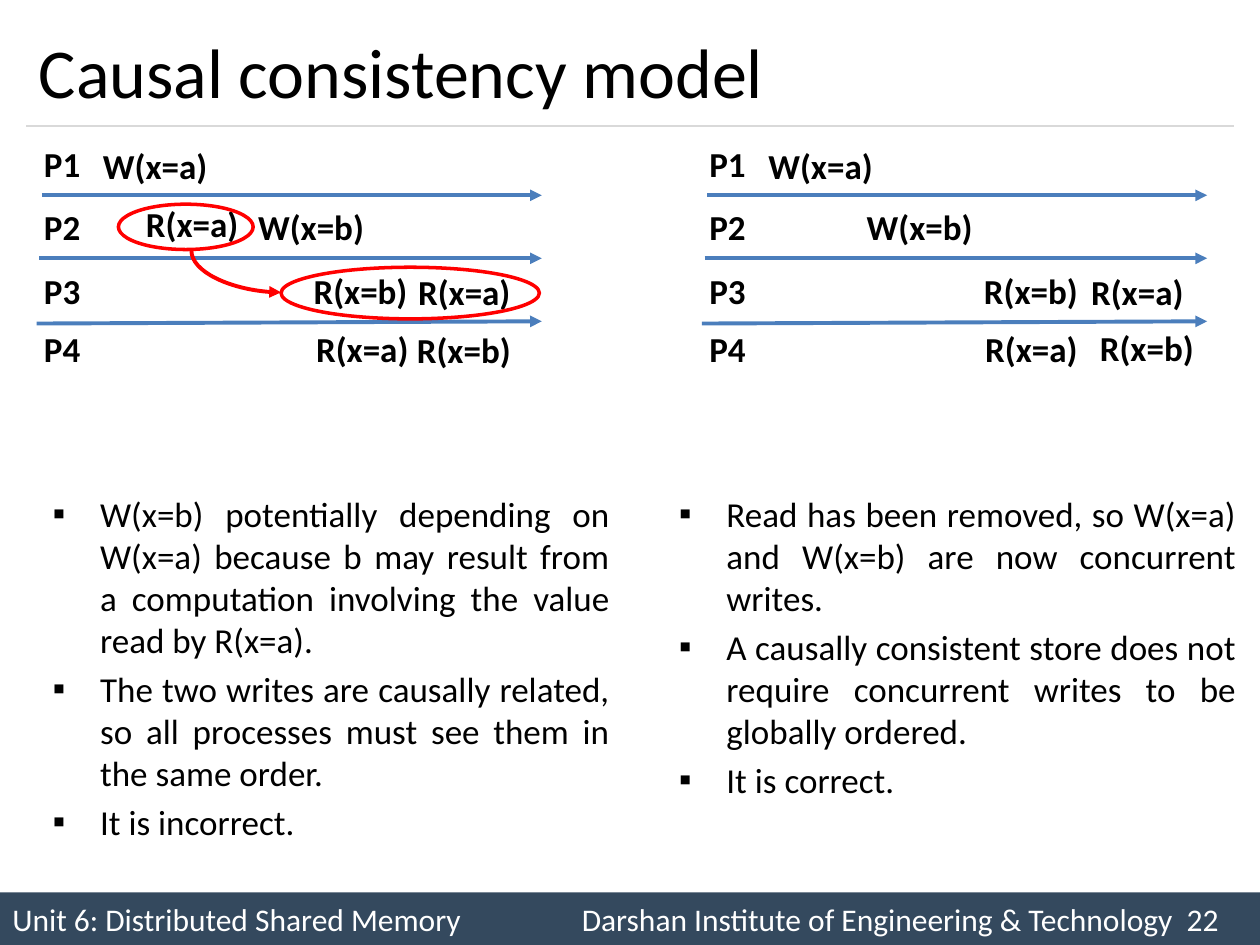
from lxml import etree
from pptx import Presentation
from pptx.dml.color import RGBColor
from pptx.enum.shapes import MSO_CONNECTOR, MSO_SHAPE
from pptx.enum.text import MSO_ANCHOR, MSO_AUTO_SIZE, PP_ALIGN
from pptx.oxml.ns import qn
from pptx.util import Pt

STRAIGHT, CURVE = MSO_CONNECTOR.STRAIGHT, MSO_CONNECTOR.CURVE
RECTANGLE, OVAL = MSO_SHAPE.RECTANGLE, MSO_SHAPE.OVAL
MIDDLE = MSO_ANCHOR.MIDDLE
NO_AUTOFIT = MSO_AUTO_SIZE.NONE
LEFT, JUSTIFY = PP_ALIGN.LEFT, PP_ALIGN.JUSTIFY

BLACK = RGBColor(0x00, 0x00, 0x00)
WHITE = RGBColor(0xFF, 0xFF, 0xFF)
NAVY = RGBColor(0x34, 0x49, 0x5E)
GREY = RGBColor(0xD9, 0xD9, 0xD9)
BLUE = RGBColor(0x4B, 0x7E, 0xBC)
RED = RGBColor(0xFF, 0x00, 0x00)
FONT = "Calibri"

SLIDE_WIDTH, SLIDE_HEIGHT = 720, 540
TWO_CONTENT_LAYOUT = 3
LABEL_HEIGHT = 31.7
LABEL_WIDTHS = {"P": 35.3, "W": 75.3, "R": 68.4}
PROCESS_TOPS = [0, 36, 72.7, 105.8]
# Each time line: start x, start y, end y
TIME_LINES = [(6, 33.8, 33.8), (4.5, 69.8, 69.8), (2.9, 107.1, 105.8)]
TIME_LINE_END = 291.6

# Each event: text, x, y within its diagram
RELATED_EVENTS = [
    ("W(x=a)", 33.8, 1.4), ("R(x=a)", 58.3, 34.6), ("W(x=b)", 122.4, 36),
    ("R(x=b)", 154.1, 72.7), ("R(x=a)", 213.8, 73.4),
    ("R(x=a)", 155.5, 105.8), ("R(x=b)", 213.1, 106.6),
]
CONCURRENT_EVENTS = [
    ("W(x=a)", 33.8, 1.4), ("W(x=b)", 90, 36),
    ("R(x=b)", 157, 72.7), ("R(x=a)", 218.2, 73.4),
    ("R(x=a)", 157.7, 105.8), ("R(x=b)", 223.2, 105.1),
]
RELATED_NOTES = [
    "W(x=b) potentially depending on W(x=a) because b may result from a "
    "computation involving the value read by R(x=a).",
    "The two writes are causally related, so all processes must see them in "
    "the same order.",
    "It is incorrect.",
]
CONCURRENT_NOTES = [
    "Read has been removed, so W(x=a) and W(x=b) are now concurrent writes.",
    "A causally consistent store does not require concurrent writes to be "
    "globally ordered.",
    "It is correct.",
]


def place(shape, left, top, width, height):
    shape.left, shape.top = Pt(left), Pt(top)
    shape.width, shape.height = Pt(width), Pt(height)


def write(paragraph, text, size=20, color=BLACK, bold=False, align=LEFT):
    paragraph.text = text
    paragraph.alignment = align
    font = paragraph.font
    font.name, font.size, font.bold = FONT, Pt(size), bold
    font.color.rgb = color


def add_line(slide, start, end, color, weight, kind=STRAIGHT, arrow=False):
    line = slide.shapes.add_connector(kind, *map(Pt, start + end))
    line.line.color.rgb = color
    line.line.width = Pt(weight)
    properties = line.element.spPr
    if arrow:
        outline = properties.find(qn("a:ln"))
        etree.SubElement(outline, qn("a:tailEnd"), type="triangle")
    etree.SubElement(properties, qn("a:effectLst"))
    return line


def add_label(slide, text, left, top):
    label = slide.shapes.add_textbox(
        Pt(left), Pt(top), Pt(LABEL_WIDTHS[text[0]]), Pt(LABEL_HEIGHT))
    label.text_frame.word_wrap = False
    write(label.text_frame.paragraphs[0], text, bold=True)


def add_title(slide, left, top, width, height):
    title = slide.shapes.title
    place(title, left, top, width, height)
    title.text_frame.vertical_anchor = MIDDLE
    title.text_frame.auto_size = NO_AUTOFIT
    write(title.text_frame.paragraphs[0], "Causal consistency model",
          size=40, align=JUSTIFY)
    bottom = top + height
    add_line(slide, (left, bottom), (left + width, bottom), GREY, 0.75)


def add_process_diagram(slide, left, top, events):
    for number, row_top in enumerate(PROCESS_TOPS, start=1):
        add_label(slide, f"P{number}", left, top + row_top)
    for start_x, start_y, end_y in TIME_LINES:
        add_line(slide, (left + start_x, top + start_y),
                 (left + TIME_LINE_END, top + end_y), BLUE, 2.25, arrow=True)
    for text, x, y in events:
        add_label(slide, text, left + x, top + y)


def add_causal_link(slide, left, top):
    """Ring the causing read and the wrongly ordered reads, and join them."""
    for x, y, width, height in [(49.7, 38.9, 77, 25.9),
                                (142.6, 74.9, 147.6, 29.5)]:
        ring = slide.shapes.add_shape(
            OVAL, Pt(left + x), Pt(top + y), Pt(width), Pt(height))
        ring.shadow.inherit = False
        ring.fill.background()
        ring.line.color.rgb = RED
        ring.line.width = Pt(2)

    # A quarter curve leaves sideways; turning it makes it leave downwards.
    start_x, start_y, end_x, end_y = 91.4, 65.5, 142.6, 89.3
    center_x = left + (start_x + end_x) / 2
    center_y = top + (start_y + end_y) / 2
    half_width, half_height = (end_y - start_y) / 2, (end_x - start_x) / 2
    link = add_line(slide, (center_x + half_width, center_y - half_height),
                    (center_x - half_width, center_y + half_height),
                    RED, 2.25, kind=CURVE, arrow=True)
    properties = link.element.spPr
    properties.find(qn("a:prstGeom")).set("prst", "curvedConnector2")
    properties.find(qn("a:xfrm")).set("rot", str(270 * 60000))


def fill_notes(placeholder, left, top, width, height, notes):
    place(placeholder, left, top, width, height)
    frame = placeholder.text_frame
    frame.auto_size = NO_AUTOFIT
    for index, note in enumerate(notes):
        paragraph = frame.add_paragraph() if index else frame.paragraphs[0]
        properties = paragraph._p.get_or_add_pPr()
        properties.set("marL", str(Pt(27)))
        properties.set("indent", str(Pt(-27)))
        etree.SubElement(properties, qn("a:buFont"), typeface=FONT)
        etree.SubElement(properties, qn("a:buChar"), char="▪")
        paragraph.space_before = Pt(4 if index else 0)
        write(paragraph, note, align=JUSTIFY)


def add_footer(slide, left, top, width, height):
    footer = slide.shapes.add_shape(
        RECTANGLE, Pt(left), Pt(top), Pt(width), Pt(height))
    footer.shadow.inherit = False
    footer.fill.solid()
    footer.fill.fore_color.rgb = NAVY
    footer.line.fill.background()
    footer.text_frame.vertical_anchor = MIDDLE
    paragraph = footer.text_frame.paragraphs[0]
    tabs = etree.SubElement(paragraph._p.get_or_add_pPr(), qn("a:tabLst"))
    for position in (325.4, 671):
        etree.SubElement(tabs, qn("a:tab"), pos=str(Pt(position)), algn="l")
    write(paragraph, "Unit 6: Distributed Shared Memory\t"
          "Darshan Institute of Engineering & Technology\t22",
          size=18, color=WHITE)


def main():
    presentation = Presentation()
    presentation.slide_width = Pt(SLIDE_WIDTH)
    presentation.slide_height = Pt(SLIDE_HEIGHT)
    slide = presentation.slides.add_slide(
        presentation.slide_layouts[TWO_CONTENT_LAYOUT])

    add_footer(slide, 0, 510, SLIDE_WIDTH, 30)
    add_title(slide, 15, 8.6, 690, 63.4)
    add_process_diagram(slide, 18, 77.8, RELATED_EVENTS)
    add_causal_link(slide, 18, 77.8)
    add_process_diagram(slide, 398.2, 77.8, CONCURRENT_EVENTS)
    fill_notes(slide.placeholders[1], 23, 278, 332.6, 220.3, RELATED_NOTES)
    fill_notes(slide.placeholders[2], 380.9, 278, 332.6, 242, CONCURRENT_NOTES)

    presentation.save("out.pptx")


if __name__ == "__main__":
    main()
